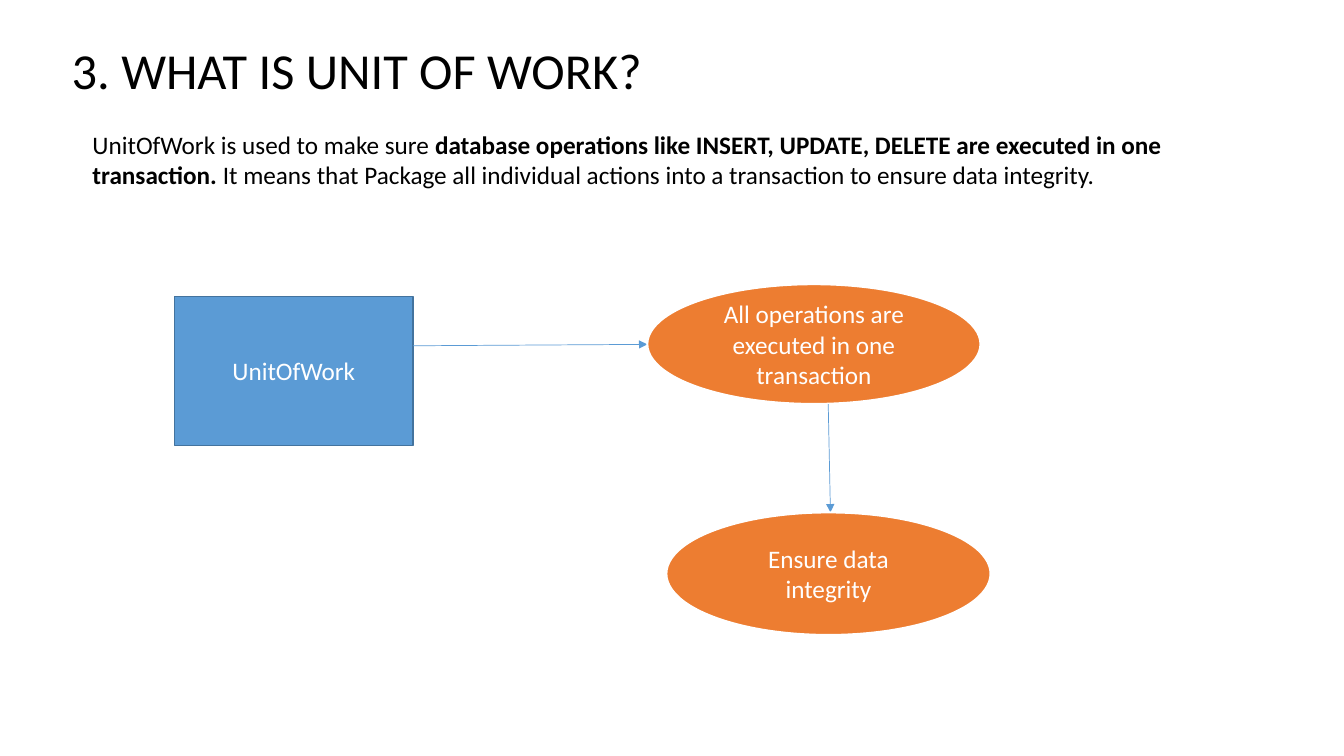
from dataclasses import dataclass

from lxml.etree import SubElement as Sub
from pptx import Presentation
from pptx.dml.color import RGBColor as RGB
from pptx.enum.shapes import MSO_CONNECTOR as Conn, MSO_SHAPE as Kind
from pptx.enum.text import MSO_ANCHOR as Anchor, MSO_AUTO_SIZE as Fit, PP_ALIGN as Align
from pptx.oxml.ns import qn
from pptx.util import Pt


@dataclass(frozen=True)
class Theme:
    font: str = "Calibri"
    ink: str = "000000"
    white: str = "FFFFFF"
    blue: str = "5B9BD5"
    navy: str = "43739E"
    orange: str = "ED7D31"
    head: int = 36
    body: int = 18


def write(frame, text, font, size, color, align=Align.LEFT,
          anchor=Anchor.TOP, space=1.0, fit=Fit.NONE):
    """Fill a frame with one paragraph; text is a string or (words, bold) pairs."""
    frame.word_wrap = True
    frame.auto_size = fit
    frame.vertical_anchor = anchor
    para = frame.paragraphs[0]
    para.alignment = align
    para.line_spacing = space
    for words, bold in [(text, False)] if isinstance(text, str) else text:
        run = para.add_run()
        run.text = words
        run.font.name = font
        run.font.size = Pt(size)
        run.font.bold = bold
        run.font.color.rgb = RGB.from_string(color)


class Page:
    def __init__(self, deck, theme):
        self.theme = theme
        self.slide = deck.slides.add_slide(deck.slide_layouts[5])
        self.shapes = self.slide.shapes

    def title(self, text, left, top, width, height):
        t, box = self.theme, self.shapes.title
        box.left, box.top, box.width, box.height = map(Pt, (left, top, width, height))
        write(box.text_frame, text, t.font, t.head, t.ink,
              anchor=Anchor.MIDDLE, space=0.9)

    def note(self, text, left, top, width, height):
        t = self.theme
        box = self.shapes.add_textbox(*map(Pt, (left, top, width, height)))
        write(box.text_frame, text, t.font, t.body, t.ink, fit=Fit.SHAPE_TO_FIT_TEXT)

    def node(self, kind, text, left, top, width, height, fill, edge, weight):
        t = self.theme
        node = self.shapes.add_shape(kind, *map(Pt, (left, top, width, height)))
        node.shadow.inherit = False
        node.fill.solid()
        node.fill.fore_color.rgb = RGB.from_string(fill)
        node.line.color.rgb = RGB.from_string(edge)
        node.line.width = Pt(weight)
        write(node.text_frame, text, t.font, t.body, t.white,
              align=Align.CENTER, anchor=Anchor.MIDDLE)

    def oval(self, text, left, top, width, height):
        t = self.theme
        self.node(Kind.OVAL, text, left, top, width, height, t.orange, t.white, 1.5)

    def arrow(self, x1, y1, x2, y2):
        link = self.shapes.add_connector(Conn.STRAIGHT, *map(Pt, (x1, y1, x2, y2)))
        link.line.color.rgb = RGB.from_string(self.theme.blue)
        link.line.width = Pt(0.5)
        Sub(link.line._get_or_add_ln(), qn("a:tailEnd"), type="triangle")
        Sub(link._element.spPr, qn("a:effectLst"))


def main():
    deck = Presentation()
    deck.slide_width, deck.slide_height = Pt(960), Pt(540)
    theme = Theme()
    page = Page(deck, theme)

    # Title and definition
    page.title("3. WHAT IS UNIT OF WORK?", 44, 0, 828, 104.4)
    page.note([
        ("UnitOfWork is used to make sure ", False),
        ("database operations like INSERT, UPDATE, DELETE are executed in one "
         "transaction. ", True),
        ("It means that Package all individual actions into a transaction to "
         "ensure data integrity.", False),
    ], 59, 88.6, 828, 51)

    # Flow from the unit of work to data integrity
    page.node(Kind.RECTANGLE, "UnitOfWork", 124.8, 211.6, 170.2, 106.6,
              theme.blue, theme.navy, 1)
    page.arrow(295, 247, 462.4, 246)
    page.oval("All operations are executed in one transaction", 462.4, 203, 238, 85.6)
    page.arrow(591.6, 288.6, 593.2, 366)
    page.oval("Ensure data integrity", 476, 366, 231.6, 87.6)

    deck.save("out.pptx")


if __name__ == "__main__":
    main()
